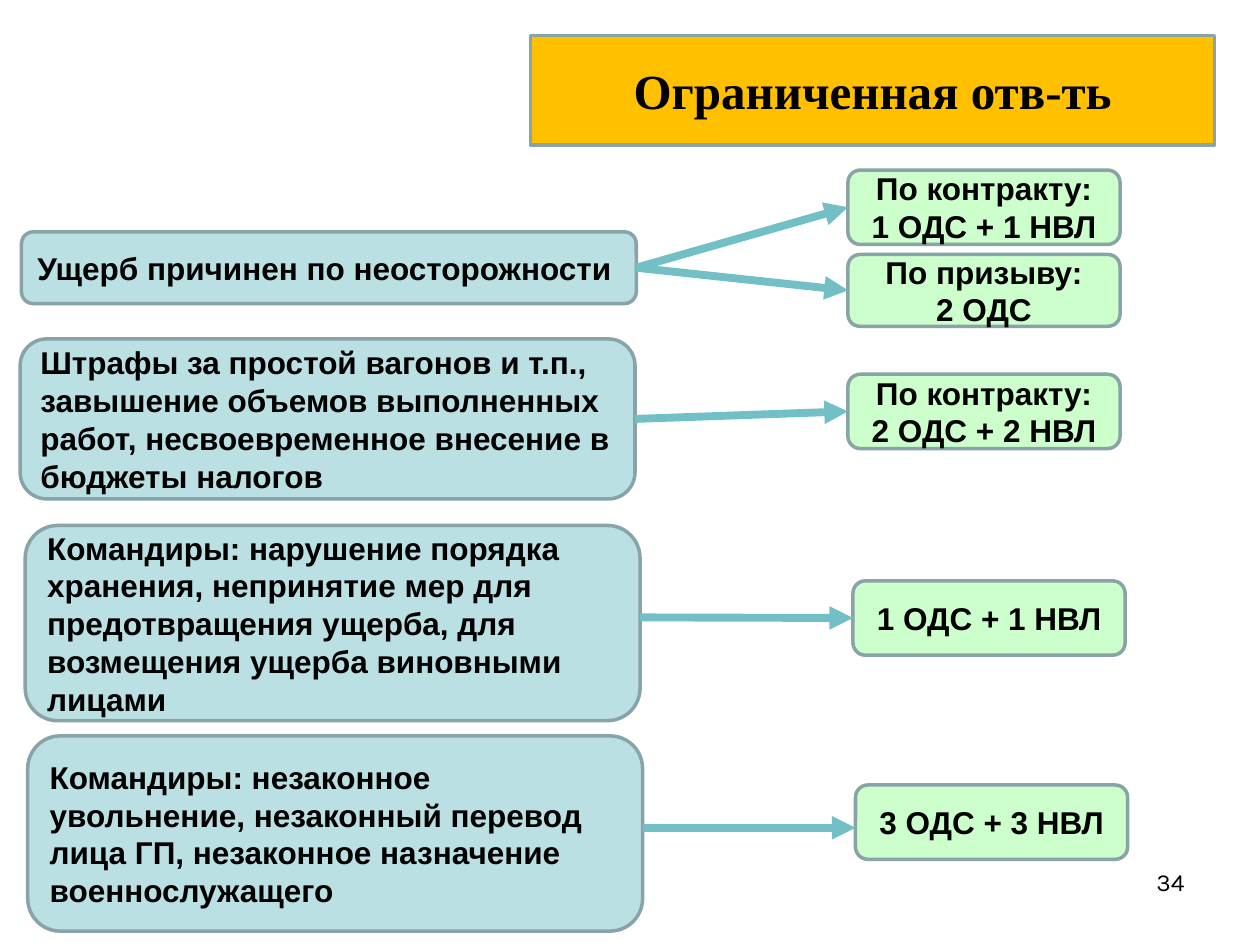
from lxml import etree
from pptx import Presentation
from pptx.dml.color import RGBColor
from pptx.enum.shapes import MSO_CONNECTOR, MSO_SHAPE
from pptx.enum.text import MSO_ANCHOR, MSO_AUTO_SIZE, PP_ALIGN
from pptx.oxml.ns import qn
from pptx.util import Inches, Pt

ROUNDED = MSO_SHAPE.ROUNDED_RECTANGLE
STRAIGHT = MSO_CONNECTOR.STRAIGHT
MIDDLE, TOP = MSO_ANCHOR.MIDDLE, MSO_ANCHOR.TOP
LEFT, CENTER, RIGHT = PP_ALIGN.LEFT, PP_ALIGN.CENTER, PP_ALIGN.RIGHT
NO_FIT = MSO_AUTO_SIZE.NONE

COLORS = {
    "title": "FFC000",
    "case": "BBE0E3",
    "limit": "CCFFCC",
    "border": "89A4A7",
    "arrow": "72BFC5",
    "text": "000000",
}
CASE_LEFT_SIDE, LIMIT_RIGHT_SIDE = 3, 1
CASE_WIDTH, LIMIT_WIDTH = 4.88, 2.16

# Each row: case (text, left, top, height),
# limits as (lines, left, top, height, arrow start y, arrow end y)
ROWS = [
    (("Ущерб причинен по неосторожности", 0.17, 1.84, 0.57),
     [(["По контракту:", "1 ОДС + 1 НВЛ"], 6.73, 1.35, 0.59, 2.12, 1.65),
      (["По призыву:", "2 ОДС"], 6.73, 2.02, 0.57, 2.12, 2.31)]),
    (("Штрафы за простой вагонов и т.п., завышение объемов выполненных "
      "работ, несвоевременное внесение в бюджеты налогов", 0.16, 2.69, 1.27),
     [(["По контракту:", "2 ОДС + 2 НВЛ"], 6.73, 2.97, 0.59, 3.32, 3.27)]),
    (("Командиры: нарушение порядка хранения, непринятие мер для "
      "предотвращения ущерба, для возмещения ущерба виновными лицами",
      0.2, 4.17, 1.55),
     [(["1 ОДС + 1 НВЛ"], 6.77, 4.61, 0.59, 4.9, 4.9)]),
    (("Командиры: незаконное увольнение, незаконный перевод лица ГП, "
      "незаконное назначение военнослужащего", 0.22, 5.84, 1.55),
     [(["3 ОДС + 3 НВЛ"], 6.79, 6.23, 0.59, 6.57, 6.57)]),
]


def rgb(name):
    return RGBColor.from_string(COLORS[name])


def write(tf, lines, size=18, font="Arial", bold=True, align=LEFT, anchor=MIDDLE):
    tf.word_wrap = True
    tf.auto_size = NO_FIT
    tf.vertical_anchor = anchor
    for i, line in enumerate(lines):
        p = tf.paragraphs[0] if i == 0 else tf.add_paragraph()
        p.alignment = align
        r = p.add_run()
        r.text = line
        r.font.size = Pt(size)
        r.font.name = font
        r.font.bold = bold
        r.font.color.rgb = rgb("text")


def paint(sp, fill):
    sp.fill.solid()
    sp.fill.fore_color.rgb = rgb(fill)
    sp.line.color.rgb = rgb("border")
    sp.line.width = Pt(2)
    sp.shadow.inherit = False


def add_title(s, text):
    sp = s.shapes.title
    sp.left, sp.top = Inches(4.21), Inches(0.28)
    sp.width, sp.height = Inches(5.43), Inches(0.87)
    # Give the placeholder rounded corners
    geom = etree.SubElement(sp.element.spPr, qn("a:prstGeom"), prst="roundRect")
    etree.SubElement(geom, qn("a:avLst"))
    paint(sp, "title")
    write(sp.text_frame, [text], size=28, font="Times New Roman", align=CENTER)


def add_box(s, lines, left, top, width, height, fill, align):
    sp = s.shapes.add_shape(ROUNDED, Inches(left), Inches(top),
                            Inches(width), Inches(height))
    paint(sp, fill)
    write(sp.text_frame, lines, align=align)
    return sp


def at_middle(sp, y):
    return abs(sp.top + sp.height // 2 - y) < Inches(0.02)


def add_arrow(s, case, limit, start_y, end_y):
    start_y, end_y = Inches(start_y), Inches(end_y)
    line = s.shapes.add_connector(STRAIGHT, case.left + case.width, start_y,
                                  limit.left, end_y)
    # Join the ends that meet the middle of a side
    if at_middle(case, start_y):
        line.begin_connect(case, CASE_LEFT_SIDE)
    if at_middle(limit, end_y):
        line.end_connect(limit, LIMIT_RIGHT_SIDE)
    line.line.color.rgb = rgb("arrow")
    line.line.width = Pt(4.5)
    etree.SubElement(line.line._get_or_add_ln(), qn("a:tailEnd"), type="triangle")
    etree.SubElement(line.element.spPr, qn("a:effectLst"))


def add_page_number(s, text):
    box = s.shapes.add_textbox(Inches(7.17), Inches(6.83), Inches(2.33), Inches(0.52))
    write(box.text_frame, [text], size=14, font="Karla", bold=False,
          align=RIGHT, anchor=TOP)


def main():
    prs = Presentation()
    prs.slide_width, prs.slide_height = Inches(10), Inches(7.5)
    s = prs.slides.add_slide(prs.slide_layouts[5])

    add_page_number(s, "34")
    add_title(s, "Ограниченная отв-ть")

    # Cases on the left, liability limits on the right
    for (text, left, top, height), limits in ROWS:
        case = add_box(s, [text], left, top, CASE_WIDTH, height, "case", LEFT)
        for lines, x, y, h, start_y, end_y in limits:
            limit = add_box(s, lines, x, y, LIMIT_WIDTH, h, "limit", CENTER)
            add_arrow(s, case, limit, start_y, end_y)

    prs.save("out.pptx")


if __name__ == "__main__":
    main()
